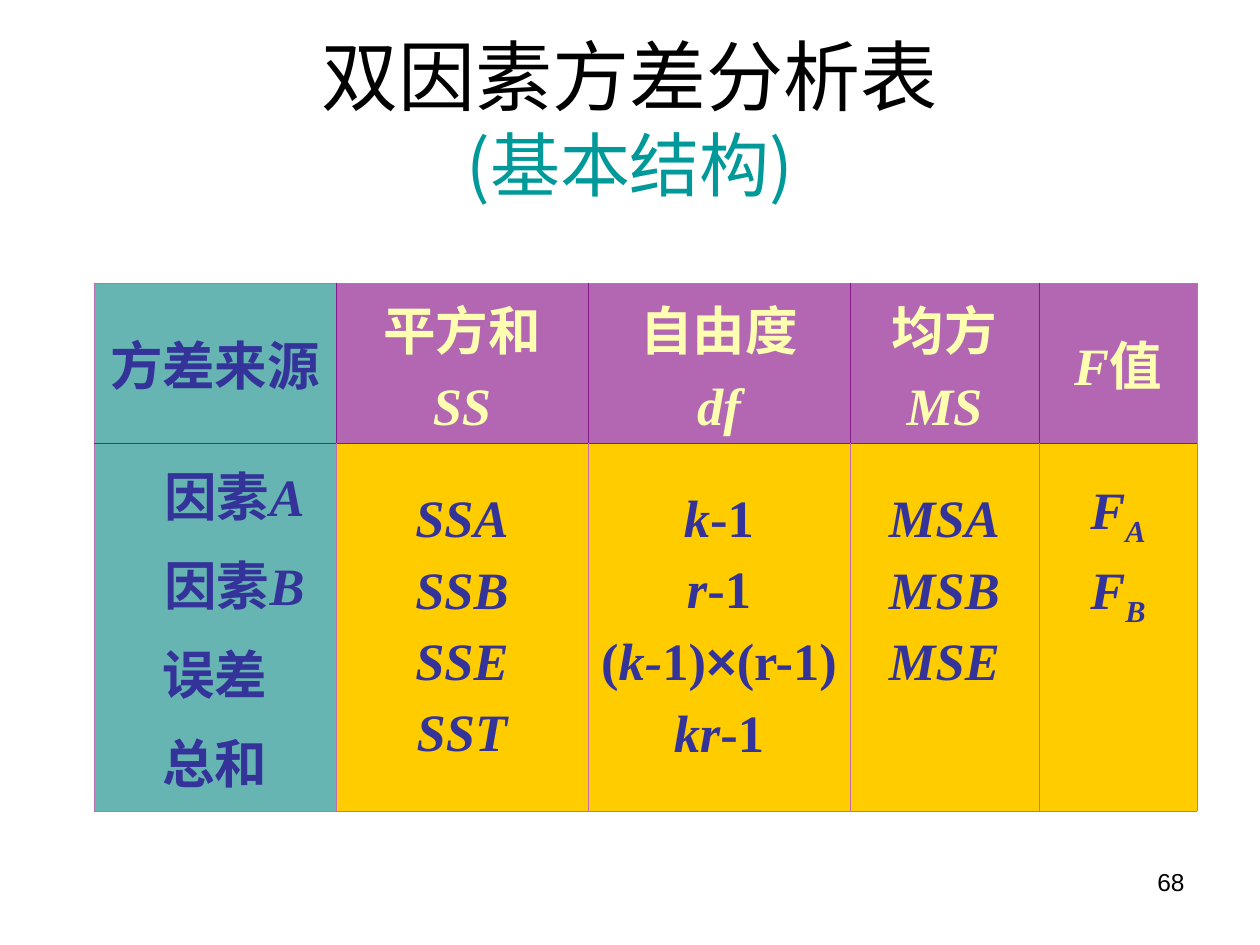
from dataclasses import dataclass

from lxml import etree
from pptx import Presentation
from pptx.dml.color import RGBColor
from pptx.enum.text import MSO_ANCHOR, PP_ALIGN
from pptx.oxml.ns import qn
from pptx.util import Pt

CENTER, RIGHT = PP_ALIGN.CENTER, PP_ALIGN.RIGHT
TOP, MIDDLE = MSO_ANCHOR.TOP, MSO_ANCHOR.MIDDLE
EMU_PER_PX = 914400 / 126


@dataclass(frozen=True)
class Theme:
    black: str = "000000"
    subtitle: str = "009999"
    ink: str = "333399"
    header_ink: str = "FFFFB1"
    source_fill: str = "67B5B3"
    header_fill: str = "B367B3"
    body_fill: str = "FFCC00"
    light_rule: str = "C06EB2"
    dark_rule: str = "87188A"
    rule_pt: float = 0.45
    title_pt: int = 44
    subtitle_pt: int = 40
    table_pt: int = 30
    page_pt: int = 14
    space_before_pt: float = 7.5
    cjk_font: str = "Noto Sans CJK SC"
    table_font: str = "Times New Roman"
    plain_font: str = "Arial"


THEME = Theme()


@dataclass(frozen=True)
class Piece:
    text: str
    italic: bool = False
    subscript: bool = False
    font: str = THEME.table_font


@dataclass(frozen=True)
class Line:
    pieces: tuple[Piece, ...]
    indent: int = 0


@dataclass(frozen=True)
class Entry:
    lines: tuple[Line, ...]
    rows_below: int = 0


@dataclass(frozen=True)
class Box:
    left: int
    top: int
    width: int
    height: int


COLUMN_WIDTHS = (242, 252, 262, 189, 158)
ROW_HEIGHTS = (160, 368)
TABLE_LEFT, TABLE_TOP = 94, 283
LINE_PITCH = 71
FACTOR_INDENT = 39
MARGIN_X, MARGIN_Y = 13, 6


def px(length: int) -> int:
    return round(length * EMU_PER_PX)


def line(*pieces: Piece, indent: int = 0) -> Line:
    return Line(pieces, indent)


def upright(text: str, font: str = THEME.table_font) -> Piece:
    return Piece(text, font=font)


def symbol(text: str) -> Piece:
    return Piece(text, italic=True)


def heading(name: str, abbreviation: str) -> Entry:
    return Entry((line(upright(name)), line(symbol(abbreviation))))


def symbol_list(*names: str, rows_below: int = 0) -> Entry:
    return Entry(tuple(line(symbol(name)) for name in names), rows_below)


def factor(letter: str) -> Line:
    return line(upright("因素"), symbol(letter), indent=FACTOR_INDENT)


def f_ratio(letter: str) -> Line:
    return line(symbol("F"), Piece(letter, italic=True, subscript=True))


HEADER_ROW = (
    Entry((line(upright("方差来源")),)),
    heading("平方和", "SS"),
    heading("自由度", "df"),
    heading("均方", "MS"),
    Entry((line(symbol("F"), upright("值")),)),
)
BODY_ROW = (
    Entry((factor("A"), factor("B"), line(upright("误差")), line(upright("总和")))),
    symbol_list("SSA", "SSB", "SSE", "SST"),
    Entry((
        line(symbol("k"), upright("-1")),
        line(symbol("r"), upright("-1")),
        line(upright("("), symbol("k-"), upright("1)"),
             upright("×", THEME.plain_font), upright("(r-1)")),
        line(symbol("kr"), upright("-1")),
    )),
    symbol_list("MSA", "MSB", "MSE", rows_below=1),
    Entry((f_ratio("A"), f_ratio("B")), rows_below=2),
)


def style_run(run, font: str, size: float, color: str) -> None:
    run.font.name = font
    run.font.size = Pt(size)
    run.font.color.rgb = RGBColor.from_string(color)
    east_asian = etree.SubElement(run.font._element, qn("a:ea"))
    east_asian.set("typeface", THEME.cjk_font)


def add_text(slide, box: Box, text: str, align, anchor, styles) -> None:
    """Add one paragraph; styles holds font, size and colour for each run."""
    frame = slide.shapes.add_textbox(
        px(box.left), px(box.top), px(box.width), px(box.height)).text_frame
    frame.word_wrap = True
    frame.vertical_anchor = anchor
    paragraph = frame.paragraphs[0]
    paragraph.text = text
    paragraph.alignment = align
    for run, style in zip(paragraph.runs, styles):
        style_run(run, *style)


def write_line(paragraph, content: Line, color: str) -> None:
    paragraph.alignment = CENTER
    paragraph.space_before = Pt(THEME.space_before_pt)
    if content.indent:
        paragraph._p.get_or_add_pPr().set("marL", str(px(content.indent)))
    for piece in content.pieces:
        run = paragraph.add_run()
        run.text = piece.text
        run.font.bold = True
        run.font.italic = piece.italic
        style_run(run, piece.font, THEME.table_pt, color)
        if piece.subscript:
            run.font._element.set("baseline", "-25000")


def set_borders(cell, colors: dict[str, str]) -> None:
    properties = cell._tc.get_or_add_tcPr()
    for position, side in enumerate(("L", "R", "T", "B")):
        border = etree.Element(qn(f"a:ln{side}"), w=str(Pt(THEME.rule_pt)))
        fill = etree.SubElement(border, qn("a:solidFill"))
        etree.SubElement(fill, qn("a:srgbClr"), val=colors[side])
        properties.insert(position, border)


def fill_cell(cell, entry: Entry, row: int, column: int) -> None:
    is_header, is_source = row == 0, column == 0
    cell.vertical_anchor = MIDDLE
    cell.margin_left = cell.margin_right = px(MARGIN_X)
    cell.margin_top = px(MARGIN_Y)
    cell.margin_bottom = px(MARGIN_Y + entry.rows_below * LINE_PITCH)
    color = THEME.header_ink if is_header and not is_source else THEME.ink
    for index, content in enumerate(entry.lines):
        frame = cell.text_frame
        paragraph = frame.add_paragraph() if index else frame.paragraphs[0]
        write_line(paragraph, content, color)
    area_fill = THEME.header_fill if is_header else THEME.body_fill
    cell.fill.solid()
    cell.fill.fore_color.rgb = RGBColor.from_string(
        THEME.source_fill if is_source else area_fill)
    light, dark = THEME.light_rule, THEME.dark_rule
    is_last = column == len(COLUMN_WIDTHS) - 1
    set_borders(cell, {
        "L": dark if is_header and not is_source else light,
        "R": dark if is_header and not is_last else light,
        "T": light if is_header else dark,
        "B": dark if is_header else light,
    })


def add_variance_table(slide) -> None:
    table = slide.shapes.add_table(
        len(ROW_HEIGHTS), len(COLUMN_WIDTHS), px(TABLE_LEFT), px(TABLE_TOP),
        px(sum(COLUMN_WIDTHS)), px(sum(ROW_HEIGHTS))).table
    table.first_row = table.horz_banding = False
    for column, width in zip(table.columns, COLUMN_WIDTHS):
        column.width = px(width)
    for row, height in zip(table.rows, ROW_HEIGHTS):
        row.height = px(height)
    for row_index, entries in enumerate((HEADER_ROW, BODY_ROW)):
        for column_index, entry in enumerate(entries):
            fill_cell(table.cell(row_index, column_index), entry, row_index, column_index)


def main() -> None:
    deck = Presentation()
    deck.slide_width, deck.slide_height = px(1260), px(945)
    slide = deck.slides.add_slide(deck.slide_layouts[6])
    add_text(slide, Box(903, 861, 294, 66), "68", RIGHT, TOP,
             [(THEME.plain_font, THEME.page_pt, THEME.black)])
    add_text(slide, Box(63, 38, 1134, 158), "双因素方差分析表\v(基本结构)", CENTER, MIDDLE,
             [(THEME.cjk_font, THEME.title_pt, THEME.black),
              (THEME.cjk_font, THEME.subtitle_pt, THEME.subtitle)])
    add_variance_table(slide)
    deck.save("out.pptx")


if __name__ == "__main__":
    main()
